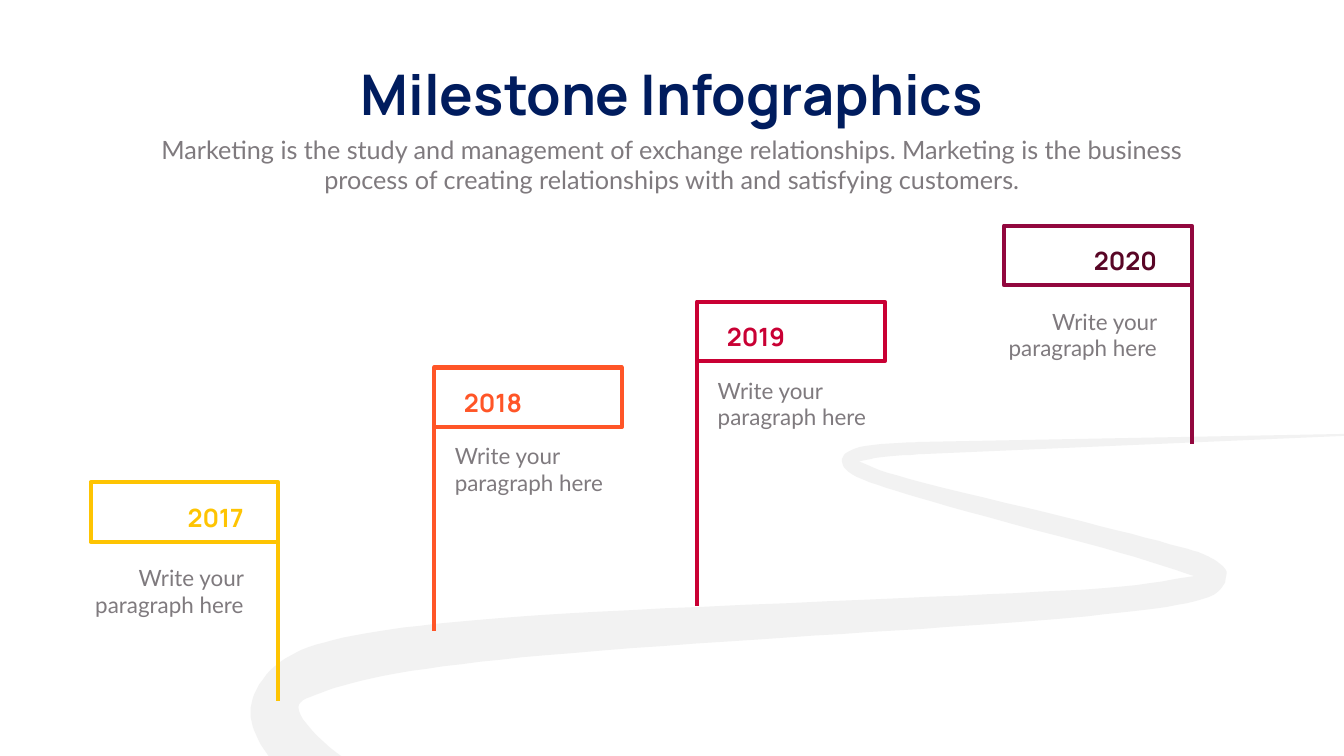
from lxml import etree
from pptx import Presentation
from pptx import util as u
from pptx.dml.color import RGBColor
from pptx.enum import shapes, text
from pptx.oxml.ns import qn

NAVY = RGBColor(0x00, 0x1C, 0x5E)
GREY = RGBColor(0x7F, 0x7A, 0x7E)
ROAD = RGBColor(0xF2, 0xF2, 0xF2)
WHITE = RGBColor(0xFF, 0xFF, 0xFF)
YELLOW = RGBColor(0xFE, 0xC4, 0x02)
ORANGE = RGBColor(0xFF, 0x55, 0x27)
RED = RGBColor(0xC9, 0x00, 0x34)
PLUM = RGBColor(0x92, 0x07, 0x3E)
DARK_PLUM = RGBColor(0x59, 0x06, 0x26)

LEFT, CENTER, RIGHT = text.PP_ALIGN.LEFT, text.PP_ALIGN.CENTER, text.PP_ALIGN.RIGHT
TITLE_STYLE = {"name": "Manrope", "size": u.Pt(80), "bold": True}
YEAR_STYLE = {"name": "Manrope", "size": u.Pt(36), "bold": True}
INTRO_STYLE = {"name": "Lato", "size": u.Pt(36)}
CAPTION_STYLE = {"name": "Lato", "size": u.Pt(32)}

FLAG_WIDTH, FLAG_HEIGHT = 268, 85
YEAR_WIDTH, YEAR_HEIGHT = 151, 51
CAPTION_WIDTH, CAPTION_HEIGHT = 235.5, 85
CURVE_STEPS = 8

prs = Presentation()
prs.slide_width, prs.slide_height = u.Pt(1919.5), u.Pt(1080)
slide = prs.slides.add_slide(prs.slide_layouts[6])


def write(words, left, top, width, height, style, color, align, wrap=True):
    box = slide.shapes.add_textbox(u.Pt(left), u.Pt(top), u.Pt(width), u.Pt(height))
    box.text_frame.word_wrap = wrap
    paragraph = box.text_frame.paragraphs[0]
    paragraph.alignment = align
    run = paragraph.add_run()
    run.text = words
    for attribute, value in style.items():
        setattr(run.font, attribute, value)
    run.font.color.rgb = color


def smooth_curve(bends):
    padded = [bends[0], *bends, bends[-1]]
    curve = [bends[0]]
    for before, start, end, after in zip(padded, padded[1:], padded[2:], padded[3:]):
        for step in range(1, CURVE_STEPS + 1):
            t = step / CURVE_STEPS
            curve.append(tuple(
                b + (c - a) * t / 2 + (2 * a - 5 * b + 4 * c - d) * t ** 2 / 2
                + (3 * b - a - 3 * c + d) * t ** 3 / 2
                for a, b, c, d in zip(before, start, end, after)))
    return curve


write("Milestone Infographics", 476, 82, 967, 104.5, TITLE_STYLE, NAVY, CENTER, wrap=False)
write("Marketing is the study and management of exchange relationships. Marketing is the "
      "business process of creating relationships with and satisfying customers.",
      210, 188, 1499, 94.5, INTRO_STYLE, GREY, CENTER)

road_stretches = [
    [(1831, 901), (1749, 907), (1704, 916)],
    [(1704, 916), (1802, 950), (2116, 1027), (2340, 1085), (2402, 1107), (2433, 1139),
     (2397, 1185), (2245, 1213), (1968, 1238), (1560, 1265), (1083, 1300), (787, 1336),
     (636, 1375), (593, 1410), (667, 1493), (824, 1586), (1074, 1696), (1257, 1762)],
    [(890, 1735), (700, 1634), (567, 1537), (508, 1458), (501, 1387), (555, 1314),
     (661, 1270), (862, 1238), (1182, 1214), (1784, 1187), (2189, 1167), (2369, 1143)],
    [(2369, 1143), (2222, 1097), (1882, 1005), (1711, 951), (1670, 915), (1705, 887),
     (1821, 877)],
]
builder = slide.shapes.build_freeform(2825, 858, scale=u.Pt(0.72))
for stretch in road_stretches:
    builder.add_line_segments(smooth_curve(stretch), close=stretch is road_stretches[-1])
road = builder.convert_to_shape()
road.shadow.inherit = False
road.fill.solid()
road.fill.fore_color.rgb = ROAD
road.line.fill.background()

milestones = [
    ("2017", 397.5, 689, 1001, RIGHT, YELLOW, YELLOW),
    ("2018", 620, 525, 902, LEFT, ORANGE, ORANGE),
    ("2019", 995.5, 431, 866, LEFT, RED, RED),
    ("2020", 1702, 322.5, 635, RIGHT, PLUM, DARK_PLUM),
]
for year, pole_x, flag_top, pole_foot, align, color, year_color in milestones:
    if align == RIGHT:
        flag_left = pole_x - FLAG_WIDTH
        year_left = pole_x - 42.5 - YEAR_WIDTH
        caption_left = pole_x - 42.5 - CAPTION_WIDTH
        caption_top = flag_top + 113.5
    else:
        flag_left = pole_x
        year_left = pole_x + 35.5
        caption_left = pole_x + 22.5
        caption_top = flag_top + 103.5

    flag = slide.shapes.add_shape(shapes.MSO_SHAPE.RECTANGLE, u.Pt(flag_left), u.Pt(flag_top),
                                  u.Pt(FLAG_WIDTH), u.Pt(FLAG_HEIGHT))
    flag.shadow.inherit = False
    flag.fill.solid()
    flag.fill.fore_color.rgb = WHITE
    pole = slide.shapes.add_connector(shapes.MSO_CONNECTOR.STRAIGHT, u.Pt(pole_x),
                                      u.Pt(flag_top + 2), u.Pt(pole_x), u.Pt(pole_foot))
    for outline in (flag.line, pole.line):
        outline.color.rgb = color
        outline.width = u.Pt(6)
    etree.SubElement(pole.element.spPr, qn("a:effectLst"))

    write("Write your paragraph here", caption_left, caption_top, CAPTION_WIDTH, CAPTION_HEIGHT,
          CAPTION_STYLE, GREY, align)
    write(year, year_left, flag_top + 24.5, YEAR_WIDTH, YEAR_HEIGHT, YEAR_STYLE, year_color, align)

prs.save("out.pptx")
